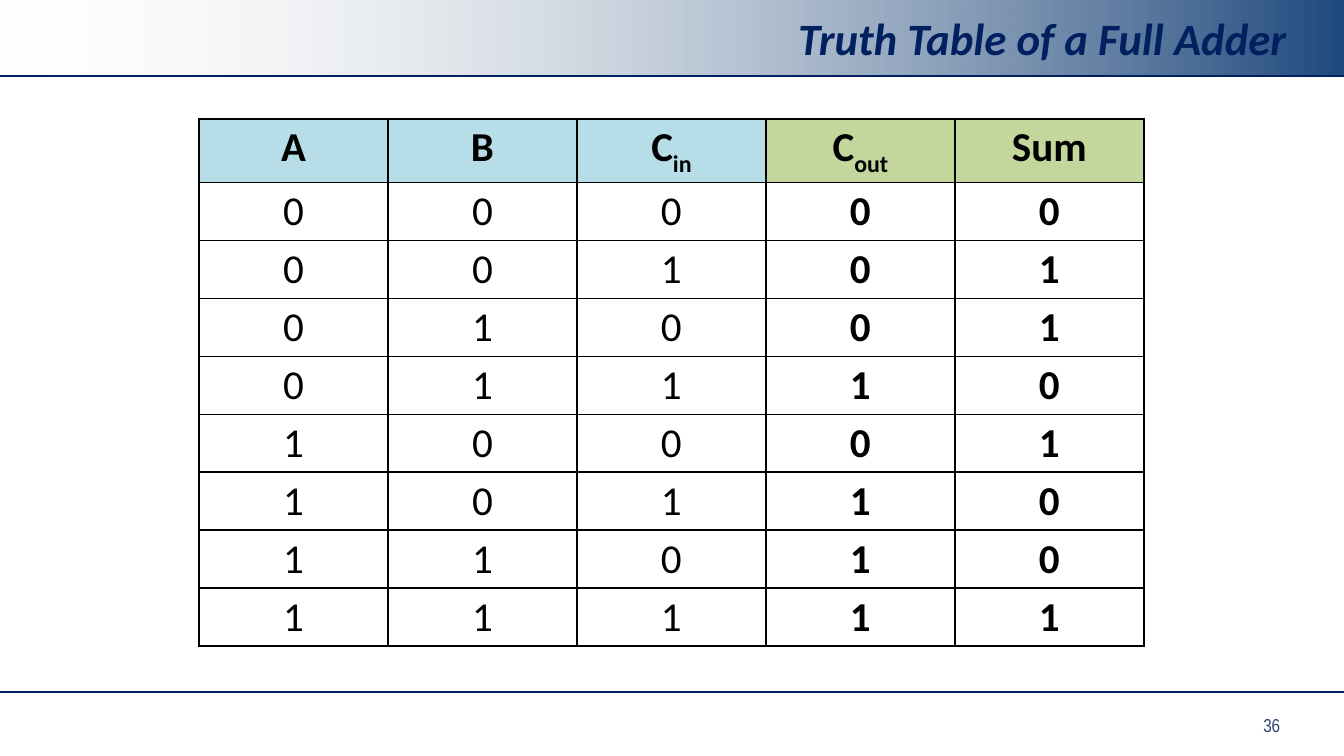
from itertools import product

from lxml import etree
from pptx import Presentation
from pptx.dml.color import RGBColor
from pptx.enum.shapes import MSO_CONNECTOR, MSO_SHAPE
from pptx.enum.text import MSO_ANCHOR, PP_ALIGN
from pptx.oxml import parse_xml
from pptx.oxml.ns import nsdecls, qn
from pptx.util import Pt

PX = 914400 / 134.4
NAVY = RGBColor(0x00, 0x20, 0x60)
BLUE = RGBColor(0x1F, 0x49, 0x7D)
SLATE = RGBColor(0x2C, 0x45, 0x6E)
GRAY = RGBColor(0xEA, 0xEA, 0xEA)
AQUA = RGBColor(0xB7, 0xDE, 0xE8)
GREEN = RGBColor(0xC3, 0xD6, 0x9B)
BLACK = RGBColor(0, 0, 0)
RECT = MSO_SHAPE.RECTANGLE
LINE = MSO_CONNECTOR.STRAIGHT
MIDDLE = MSO_ANCHOR.MIDDLE
CENTER, RIGHT = PP_ALIGN.CENTER, PP_ALIGN.RIGHT


def px(*sizes):
    """Turn pixel lengths into EMU."""
    return [round(size * PX) for size in sizes]


def add_run(para, text, size, color, face="Calibri", bold=False):
    run = para.add_run()
    run.text = text
    font = run.font
    font.name, font.size, font.bold = face, Pt(size), bold
    font.color.rgb = color
    return font


deck = Presentation()
deck.slide_width, deck.slide_height = px(1344, 756)
slide = deck.slides.add_slide(deck.slide_layouts[5])
shapes = slide.shapes

# Header band, fading in from the left
band = shapes.add_shape(RECT, *px(0, 0, 1344, 76))
band.shadow.inherit = False
band.line.fill.background()
band.fill.gradient()
band.fill.gradient_angle = 0
start, end = band.fill.gradient_stops
start.position, end.position = 0, 1
start.color.rgb, end.color.rgb = GRAY, BLUE
tint = next(band._element.iter(qn("a:srgbClr")))
etree.SubElement(tint, qn("a:alpha"), val="0")

# Rules under the header and above the footer
for y in (76, 692):
    rule = shapes.add_connector(LINE, *px(1344, y, 0, y))
    rule.line.color.rgb = NAVY
    rule.line.width = Pt(0.75)
    etree.SubElement(rule._element.spPr, qn("a:effectLst"))

# Page number
page = shapes.add_textbox(*px(1250, 707, 74, 36)).text_frame
page.word_wrap = True
add_run(page.paragraphs[0], "36", 10, SLATE, "Arial Narrow")

# Title, brought in front of the band
title = shapes.title
title.left, title.top, title.width, title.height = px(67, 4, 1233, 67)
title.text_frame.vertical_anchor = MIDDLE
para = title.text_frame.paragraphs[0]
para.alignment = RIGHT
add_run(para, "Truth Table of a Full Adder", 24, NAVY, bold=True).italic = True
title._element.getparent().append(title._element)

# Truth table: name and subscript of each column, then all input states
heads = [("A", ""), ("B", ""), ("C", "in"), ("C", "out"), ("Sum", "")]
rows = [heads]
for bits in product((0, 1), repeat=3):
    carry, total = divmod(sum(bits), 2)
    rows.append([(str(bit), "") for bit in (*bits, carry, total)])

frame = shapes.add_table(len(rows), len(heads), *px(199, 119, 945, 513))
table = frame.table
table.first_row = table.horz_banding = False
for col in table.columns:
    col.width = px(189)[0]
for row in table.rows:
    row.height = px(57)[0]

for r, row in enumerate(rows):
    for c, (text, sub) in enumerate(row):
        cell = table.cell(r, c)
        cell.margin_left, cell.margin_right = px(8, 8)
        cell.margin_top, cell.margin_bottom = px(4, 4)
        props = cell._tc.get_or_add_tcPr()
        for side in ("lnL", "lnR", "lnT", "lnB"):
            props.append(parse_xml(
                f'<a:{side} {nsdecls("a")} w="12700"><a:solidFill>'
                f'<a:srgbClr val="{BLACK}"/></a:solidFill></a:{side}>'))
        if r == 0:
            cell.fill.solid()
            cell.fill.fore_color.rgb = AQUA if c < 3 else GREEN
        else:
            cell.fill.background()
        para = cell.text_frame.paragraphs[0]
        para.alignment = CENTER
        bold = r == 0 or c >= 3
        add_run(para, text, 22, BLACK, bold=bold)
        if sub:
            font = add_run(para, sub, 22, BLACK, bold=bold)
            font._element.set("baseline", "-25000")

deck.save("out.pptx")
